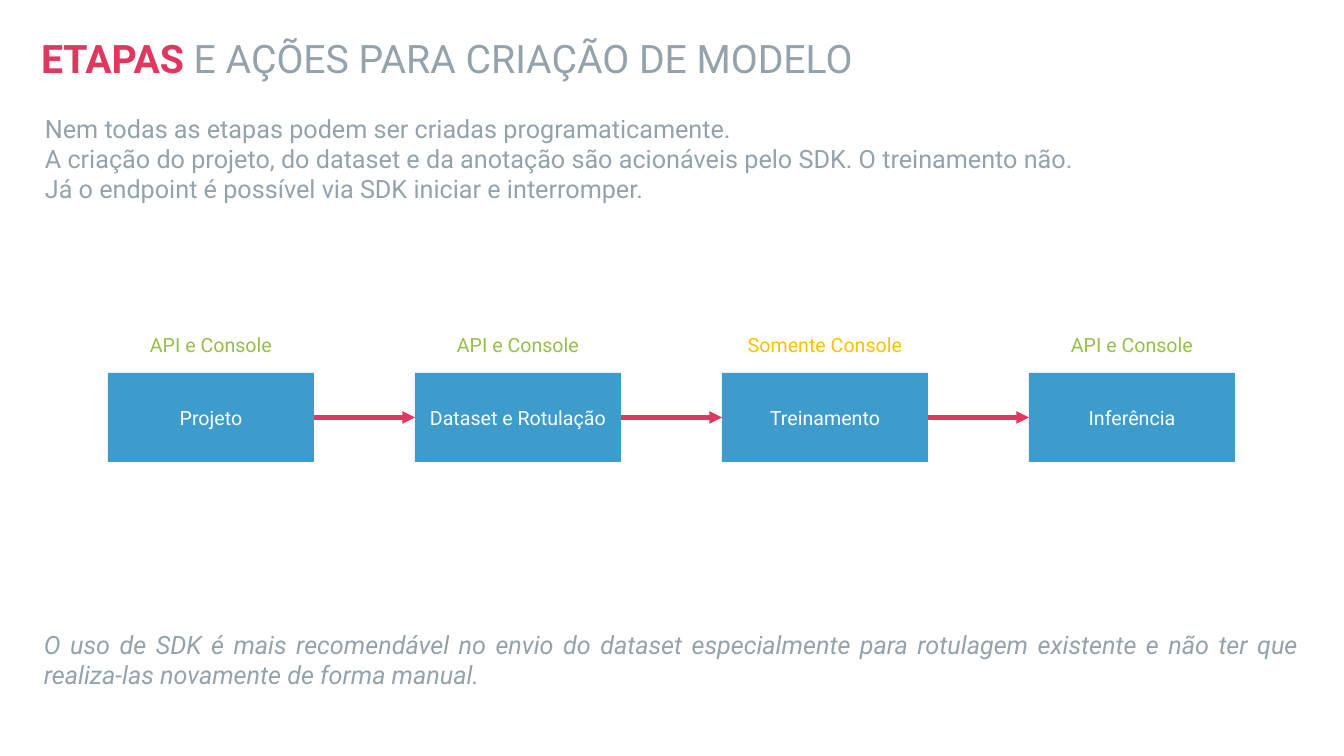
from lxml import etree
from pptx import Presentation
from pptx.dml.color import RGBColor
from pptx.enum.shapes import MSO_CONNECTOR as Connector, MSO_SHAPE as Shape
from pptx.enum.text import MSO_ANCHOR as Anchor, MSO_AUTO_SIZE as AutoSize, PP_ALIGN as Align
from pptx.oxml.ns import qn
from pptx.util import Emu, Pt

WIDTH, HEIGHT = 1344, 756
SCALE = 12192000 / WIDTH  # EMU per px

PINK = RGBColor(0xE0, 0x37, 0x5F)
GRAY = RGBColor(0x94, 0xA2, 0xAC)
BLUE = RGBColor(0x3D, 0x9C, 0xCC)
GREEN = RGBColor(0x97, 0xBE, 0x49)
AMBER = RGBColor(0xFF, 0xC0, 0x00)
WHITE = RGBColor(0xFF, 0xFF, 0xFF)


def px(n):
    return Emu(round(n * SCALE))


class Deck:
    font = "Roboto"

    def __init__(self):
        self.prs = Presentation()
        self.prs.slide_width, self.prs.slide_height = px(WIDTH), px(HEIGHT)
        self.s = self.prs.slides.add_slide(self.prs.slide_layouts[5])

    def style(self, p, size, color, align, italic=None):
        p.alignment = align
        p.font.name, p.font.size, p.font.italic = self.font, Pt(size), italic
        p.font.color.rgb = color

    def title(self, strong, rest, x, y, w, h):
        sp = self.s.shapes.title
        sp.left, sp.top, sp.width, sp.height = map(px, (x, y, w, h))
        tf = sp.text_frame
        tf.auto_size, tf.vertical_anchor = AutoSize.NONE, Anchor.MIDDLE
        p = tf.paragraphs[0]
        self.style(p, 28, GRAY, Align.LEFT)
        p.line_spacing = 0.9
        r = p.add_run()
        r.text, r.font.bold, r.font.color.rgb = strong, True, PINK
        p.add_run().text = rest

    def text(self, lines, x, y, w, h, size, color, align, italic=None):
        sp = self.s.shapes.add_textbox(*map(px, (x, y, w, h)))
        tf = sp.text_frame
        tf.word_wrap, tf.auto_size = True, AutoSize.SHAPE_TO_FIT_TEXT
        tf.text = "\n".join(lines)
        for p in tf.paragraphs:
            self.style(p, size, color, align, italic)

    def box(self, text, x, y, w, h):
        sp = self.s.shapes.add_shape(Shape.RECTANGLE, *map(px, (x, y, w, h)))
        sp.shadow.inherit = False
        sp.fill.solid()
        sp.fill.fore_color.rgb = BLUE
        sp.line.fill.background()
        tf = sp.text_frame
        tf.text, tf.word_wrap, tf.vertical_anchor = text, True, Anchor.MIDDLE
        self.style(tf.paragraphs[0], 14, WHITE, Align.CENTER)
        return sp

    def arrow(self, start, end):
        c = self.s.shapes.add_connector(Connector.STRAIGHT, 0, 0, 0, 0)
        c.begin_connect(start, 3)
        c.end_connect(end, 1)
        c.line.color.rgb, c.line.width = PINK, Pt(3)
        etree.SubElement(c.line._get_or_add_ln(), qn("a:tailEnd"), type="triangle")
        etree.SubElement(c._element.spPr, qn("a:effectLst"))


def main():
    deck = Deck()

    # Title and introduction
    deck.title("ETAPAS", " E AÇÕES PARA CRIAÇÃO DE MODELO", 31, 29, 1159, 64)
    deck.text(["Nem todas as etapas podem ser criadas programaticamente.",
               "A criação do projeto, do dataset e da anotação são acionáveis pelo SDK. "
               "O treinamento não.",
               "Já o endpoint é possível via SDK iniciar e interromper."],
              35, 108, 1275, 102, 18, GRAY, Align.JUSTIFY)

    # Steps, each with its access label above
    both, console = ("API e Console", GREEN), ("Somente Console", AMBER)
    steps = [("Projeto", both), ("Dataset e Rotulação", both),
             ("Treinamento", console), ("Inferência", both)]
    left, step, w = 108, 307, 206
    boxes = []
    for i, (name, (access, color)) in enumerate(steps):
        x = left + i * step
        boxes.append(deck.box(name, x, 373, w, 89))
        deck.text([access], x, 328, w, 34, 14, color, Align.CENTER)

    # Arrows between steps
    for start, end in zip(boxes, boxes[1:]):
        deck.arrow(start, end)

    # Closing remark
    deck.text(["O uso de SDK é mais recomendável no envio do dataset especialmente para "
               "rotulagem existente e não ter que realiza-las novamente de forma manual."],
              34, 624, 1275, 72, 18, GRAY, Align.JUSTIFY, italic=True)

    deck.prs.save("out.pptx")


if __name__ == "__main__":
    main()
